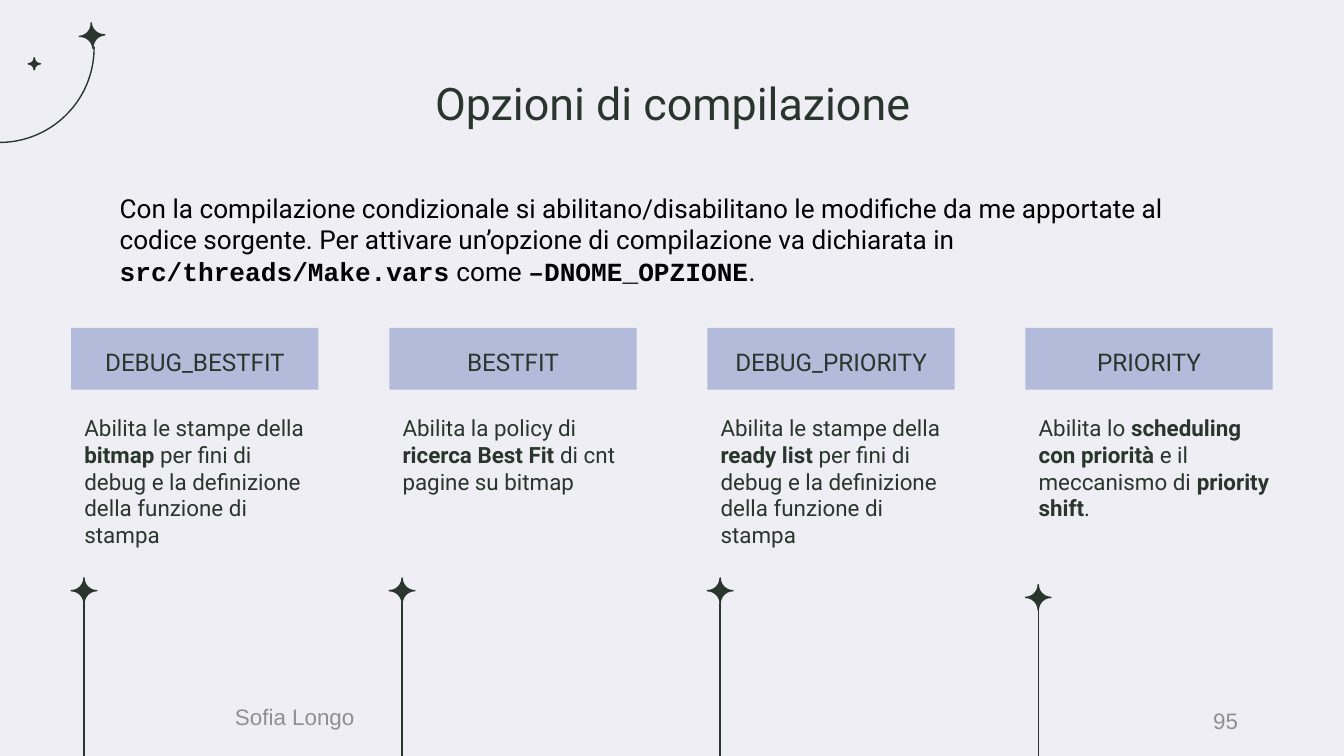
"""Build the slide on the compilation options."""
from dataclasses import dataclass

from lxml import etree
from pptx import Presentation
from pptx.dml.color import RGBColor
from pptx.enum.shapes import MSO_CONNECTOR, MSO_SHAPE
from pptx.enum.text import MSO_ANCHOR, MSO_AUTO_SIZE, PP_ALIGN
from pptx.oxml.ns import qn
from pptx.util import Inches, Pt

LEFT, CENTER, RIGHT = PP_ALIGN.LEFT, PP_ALIGN.CENTER, PP_ALIGN.RIGHT
TOP, MIDDLE, BOTTOM = MSO_ANCHOR.TOP, MSO_ANCHOR.MIDDLE, MSO_ANCHOR.BOTTOM
NO_FIT = MSO_AUTO_SIZE.NONE
ARC, STAR, RECTANGLE = MSO_SHAPE.ARC, MSO_SHAPE.PLAQUE, MSO_SHAPE.RECTANGLE
STRAIGHT = MSO_CONNECTOR.STRAIGHT


@dataclass(frozen=True)
class Theme:
    background: RGBColor = RGBColor.from_string("EFEEF4")
    ink: RGBColor = RGBColor.from_string("2A362D")
    black: RGBColor = RGBColor.from_string("000000")
    grey: RGBColor = RGBColor.from_string("8E918F")
    band: RGBColor = RGBColor.from_string("B2BBDA")
    font: str = "Roboto"
    code_font: str = "Courier New"
    footer_font: str = "Arial"
    title_size: Pt = Pt(24)
    intro_size: Pt = Pt(14)
    heading_size: Pt = Pt(13)
    text_size: Pt = Pt(12)
    line_width: Pt = Pt(0.75)


theme = Theme()


def write(box, spans, size, color=theme.ink, name=theme.font, align=LEFT,
          anchor=TOP, margin=0.1, bold_name=None):
    """Fill a box with one paragraph whose every second span is bold."""
    frame = box.text_frame
    frame.word_wrap = True
    frame.auto_size = NO_FIT
    frame.vertical_anchor = anchor
    frame.margin_left = frame.margin_right = Inches(0.1)
    frame.margin_top = frame.margin_bottom = Inches(margin)
    paragraph = frame.paragraphs[0]
    paragraph.alignment = align
    paragraph.space_before = Pt(0)
    if box.is_placeholder:
        properties = paragraph._p.get_or_add_pPr()
        properties.set("marL", "0")
        properties.set("indent", "0")
        etree.SubElement(properties, qn("a:buNone"))
    paragraph.font.size = size
    paragraph.font.name = name
    paragraph.font.color.rgb = color
    for index, text in enumerate(spans):
        span = paragraph.add_run()
        span.text = text
        if index % 2:
            span.font.bold = True
            if bold_name:
                span.font.name = bold_name


def add_star(left, top, size):
    """Add a four-pointed star."""
    star = page.shapes.add_shape(STAR, Inches(left), Inches(top), Inches(size), Inches(size))
    star.adjustments[0] = 0.5
    star.shadow.inherit = False
    star.fill.solid()
    star.fill.fore_color.rgb = theme.ink
    star.line.color.rgb = theme.ink
    star.line.width = theme.line_width
    return star


deck = Presentation()
deck.slide_width, deck.slide_height = Inches(10), Inches(10 * 9 / 16)
page = deck.slides.add_slide(deck.slide_layouts[1])
page.background.fill.solid()
page.background.fill.fore_color.rgb = theme.background

arc = page.shapes.add_shape(ARC, Inches(-0.71), Inches(-0.35), Inches(1.41), Inches(1.41))
arc.adjustments[0], arc.adjustments[1] = 162, 0.4
arc.rotation = 180
arc._element.spPr.xfrm.set("flipH", "1")
arc.shadow.inherit = False
arc.fill.background()
arc.line.color.rgb = theme.ink
arc.line.width = theme.line_width
add_star(0.59, 0.17, 0.19).rotation = 176.1
add_star(0.21, 0.43, 0.09)

title, intro = page.shapes.title, page.placeholders[1]
for box, top, height in ((title, 0.43, 0.63), (intro, 1.38, 0.81)):
    box.left, box.top = Inches(0.79), Inches(top)
    box.width, box.height = Inches(8.43), Inches(height)
write(title, ["Opzioni di compilazione"], theme.title_size, align=CENTER, anchor=BOTTOM)
write(intro, [
    "Con la compilazione condizionale si abilitano/disabilitano le modifiche da me "
    "apportate al codice sorgente. Per attivare un’opzione di compilazione va dichiarata in ",
    "src/threads/Make.vars", " come ", "–DNOME_OPZIONE", ".",
], theme.intro_size, theme.black, margin=0.05, bold_name=theme.code_font)

debug_ending = "per fini di debug e la definizione della funzione di stampa"
options = (
    ("DEBUG_BESTFIT", ["Abilita le stampe della ", "bitmap", " " + debug_ending], 4.3),
    ("BESTFIT", ["Abilita la policy di ", "ricerca Best Fit ", "di cnt pagine su bitmap"], 4.3),
    ("DEBUG_PRIORITY", ["Abilita le stampe della ", "ready list ", debug_ending], 4.3),
    ("PRIORITY", ["Abilita lo ", "scheduling con priorità ", "e il meccanismo di ",
                  "priority shift", "."], 4.35),
)
column_step = 7.1 / 3
for column, (name, description, star_top) in enumerate(options):
    left = 0.53 + column * column_step
    heading = page.shapes.add_shape(RECTANGLE, Inches(left), Inches(2.44), Inches(1.84), Inches(0.46))
    heading.shadow.inherit = False
    heading.fill.solid()
    heading.fill.fore_color.rgb = theme.band
    heading.line.fill.background()
    write(heading, [name], theme.heading_size, align=CENTER, anchor=BOTTOM)

    box = page.shapes.add_textbox(Inches(left), Inches(2.98), Inches(1.94), Inches(1.2))
    write(box, description, theme.text_size)

    star = add_star(left, star_top, 0.19)
    middle = star.left + star.width // 2
    stem = page.shapes.add_connector(STRAIGHT, middle, deck.slide_height, middle, star.top + star.height)
    stem.end_connect(star, 2)
    stem.line.color.rgb = theme.ink
    stem.line.width = theme.line_width
    etree.SubElement(stem._element.spPr, qn("a:effectLst"))

for text, left, top, align in (("Sofia Longo", 1.65, 5.18, LEFT), ("95", 7.06, 5.21, RIGHT)):
    box = page.shapes.add_textbox(Inches(left), Inches(top), Inches(2.25), Inches(0.3))
    write(box, [text], theme.text_size, theme.grey, theme.footer_font, align, MIDDLE, margin=0.05)

deck.save("out.pptx")
